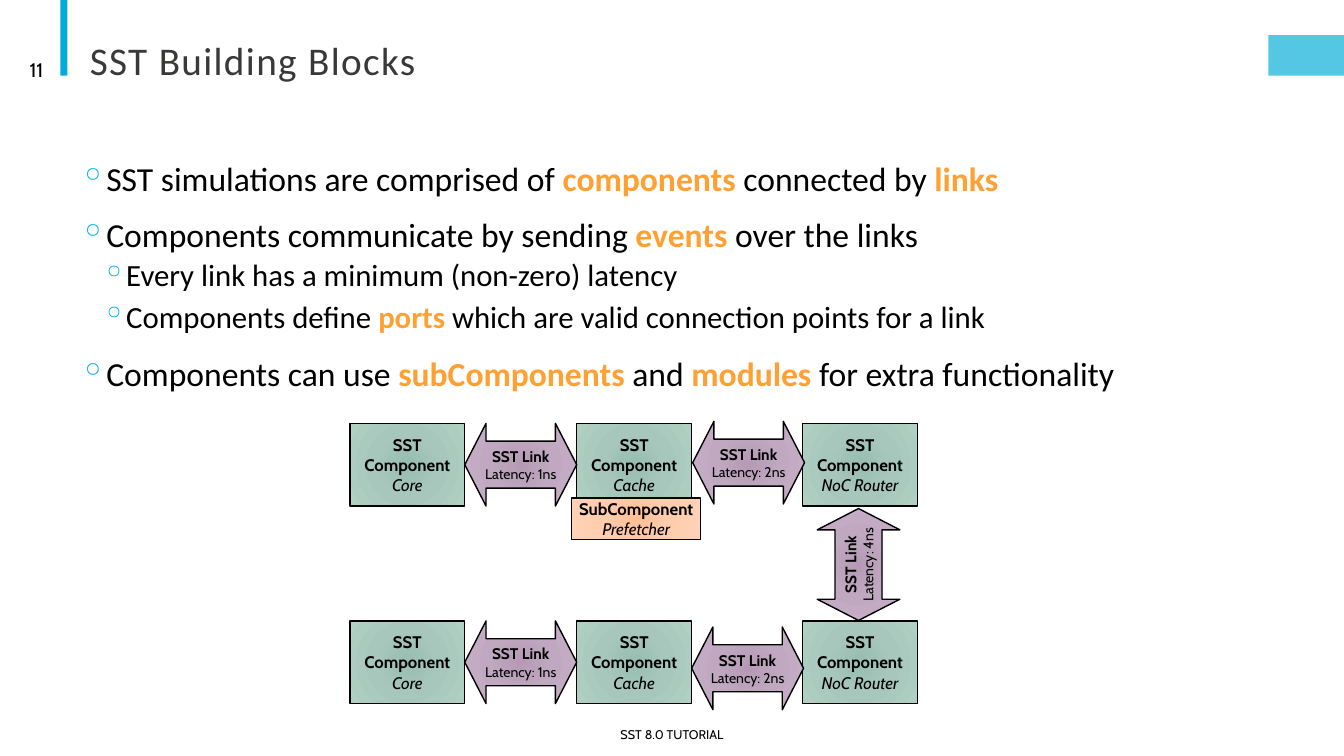
from lxml.etree import SubElement
from pptx import Presentation
from pptx.dml.color import RGBColor
from pptx.enum.shapes import MSO_SHAPE as Preset
from pptx.enum.text import MSO_ANCHOR as Anchor, PP_ALIGN as Align
from pptx.oxml import parse_xml
from pptx.oxml.ns import nsdecls, qn
from pptx.util import Inches, Pt

COLORS = {"black": "000000", "title": "3B3838", "bar": "00ACD9", "tab": "54C7E5",
          "bullet": "00B0F0", "accent": "FFA033"}
GRADIENTS = {"component": ("97BDB0", "A8C7BC", "B0D0C4"),
             "link": ("B599B5", "C0A9C0", "C9B1C9"),
             "subcomponent": ("FFBF96", "FFCCAC", "FFD2B7")}
TITLE = "SST Building Blocks"
FOOTER = "SST 8.0 TUTORIAL"
PAGE = "11"
# Pieces alternate between plain and highlighted wording.
BULLETS = [
    (0, ["SST simulations are comprised of ", "components", " connected by ", "links"]),
    (0, ["Components communicate by sending ", "events", " over the links"]),
    (1, ["Every link has a minimum (non-zero) latency"]),
    (1, ["Components define ", "ports", " which are valid connection points for a link"]),
    (0, ["Components can use ", "subComponents", " and ", "modules",
         " for extra functionality"]),
]
LEVELS = [{"size": 24, "indent": 0.1, "before": 12, "after": 2},
          {"size": 22, "indent": 0.42, "before": 2, "after": 4}]
COMPONENTS = ["Core", "Cache", "NoC Router"]
COLUMNS = [3.47, 5.72, 7.96]
ROWS = [4.2, 6.16]
COMPONENT_SIZE = (1.14, 0.82)
LINK_SIZE = (1.11, 0.82)
LINKS = [
    (4.61, 4.2, "1ns", 0), (6.87, 4.18, "2ns", 0),
    (4.61, 6.16, "1ns", 0), (6.86, 6.22, "2ns", 0),
    (7.96, 5.19, "4ns", 270),
]


def style(run, size, color="black", font="Cabin", bold=False, italic=False):
    run.font.size = Pt(size)
    run.font.name = font
    run.font.bold = bold
    run.font.italic = italic
    run.font.color.rgb = RGBColor.from_string(COLORS[color])


def set_margins(frame, side, vertical=0.05):
    frame.margin_left = frame.margin_right = Inches(side)
    frame.margin_top = frame.margin_bottom = Inches(vertical)


def add_bar(slide, box, color):
    bar = slide.shapes.add_shape(Preset.RECTANGLE, *map(Inches, box))
    bar.shadow.inherit = False
    bar.fill.solid()
    bar.fill.fore_color.rgb = RGBColor.from_string(COLORS[color])
    bar.line.fill.background()


def add_label(slide, box, text, size, align):
    label = slide.shapes.add_textbox(*map(Inches, box))
    frame = label.text_frame
    frame.word_wrap = True
    frame.vertical_anchor = Anchor.MIDDLE
    frame.text = text
    frame.paragraphs[0].alignment = align
    style(frame.paragraphs[0].runs[0], size)


def fill_gradient(shape, colors):
    stops = "".join(f'<a:gs pos="{place}"><a:srgbClr val="{color}"/></a:gs>'
                    for place, color in zip((0, 45000, 100000), colors))
    gradient = parse_xml(
        f'<a:gradFill {nsdecls("a")} rotWithShape="1"><a:gsLst>{stops}</a:gsLst>'
        '<a:path path="circle"><a:fillToRect l="100000" t="100000" r="100000" b="100000"/>'
        '</a:path></a:gradFill>')
    shape.element.spPr.find(qn("a:prstGeom")).addnext(gradient)


def add_block(slide, preset, box, kind, lines, sizes, side, italic):
    block = slide.shapes.add_shape(preset, *map(Inches, box))
    block.shadow.inherit = False
    fill_gradient(block, GRADIENTS[kind])
    block.line.color.rgb = RGBColor.from_string(COLORS["black"])
    block.line.width = Pt(1)
    frame = block.text_frame
    frame.word_wrap = True
    frame.vertical_anchor = Anchor.MIDDLE
    set_margins(frame, side)
    frame.text = "\n".join(lines)
    for index, paragraph in enumerate(frame.paragraphs):
        paragraph.alignment = Align.CENTER
        style(paragraph.runs[0], sizes[index], bold=index == 0,
              italic=italic and index == 1)
    return block


def add_title(slide):
    title = slide.shapes.title
    title.left, title.top, title.width, title.height = map(Inches, (0.79, 0.26, 11, 0.62))
    frame = title.text_frame
    frame.text = TITLE
    frame.vertical_anchor = Anchor.BOTTOM
    paragraph = frame.paragraphs[0]
    paragraph.alignment = Align.LEFT
    paragraph.line_spacing = 0.85
    style(paragraph.runs[0], 28, "title", "Calibri")
    paragraph.runs[0].font._element.set("spc", "100")


def add_bullets(slide):
    body = slide.shapes.add_textbox(*map(Inches, (0.79, 1.56, 11.8, 5.1)))
    frame = body.text_frame
    frame.word_wrap = True
    set_margins(frame, 0)
    for index, (depth, pieces) in enumerate(BULLETS):
        level = LEVELS[depth]
        paragraph = frame.add_paragraph() if index else frame.paragraphs[0]
        paragraph.level = depth
        paragraph.line_spacing = 0.9
        paragraph.space_before = Pt(level["before"] if index else 0)
        paragraph.space_after = Pt(level["after"])
        properties = paragraph._p.get_or_add_pPr()
        properties.set("marL", str(Inches(level["indent"])))
        properties.set("indent", str(Inches(-0.2)))
        bullet_color = SubElement(properties, qn("a:buClr"))
        SubElement(bullet_color, qn("a:srgbClr"), val=COLORS["bullet"])
        SubElement(properties, qn("a:buChar"), char="◦")
        for position, piece in enumerate(pieces):
            highlighted = position % 2 == 1
            run = paragraph.add_run()
            run.text = piece
            style(run, level["size"], "accent" if highlighted else "black",
                  "Calibri", bold=highlighted)


def add_diagram(slide):
    for top in ROWS:
        for left, name in zip(COLUMNS, COMPONENTS):
            add_block(slide, Preset.RECTANGLE, (left, top, *COMPONENT_SIZE), "component",
                      ("SST Component", name), (12, 12), 0.1, True)
    for left, top, latency, rotation in LINKS:
        link = add_block(slide, Preset.LEFT_RIGHT_ARROW, (left, top, *LINK_SIZE), "link",
                         ("SST Link", f"Latency: {latency}"), (11, 10), 0, False)
        link.adjustments[0], link.adjustments[1] = 0.568, 0.257
        link.rotation = rotation
    add_block(slide, Preset.RECTANGLE, (5.67, 4.94, 1.28, 0.41), "subcomponent",
              ("SubComponent", "Prefetcher"), (12, 12), 0.05, True)


def main():
    presentation = Presentation()
    presentation.slide_width = Inches(13.33)
    presentation.slide_height = Inches(7.5)
    slide = presentation.slides.add_slide(presentation.slide_layouts[5])
    add_bar(slide, (0.6, 0, 0.07, 0.75), "bar")
    add_bar(slide, (12.58, 0.35, 0.75, 0.4), "tab")
    add_title(slide)
    add_label(slide, (4.03, 7.09, 5.27, 0.4), FOOTER, 9, Align.CENTER)
    add_label(slide, (0.07, 0.49, 0.46, 0.4), PAGE, 14, Align.RIGHT)
    add_bullets(slide)
    add_diagram(slide)
    presentation.save("out.pptx")


if __name__ == "__main__":
    main()
